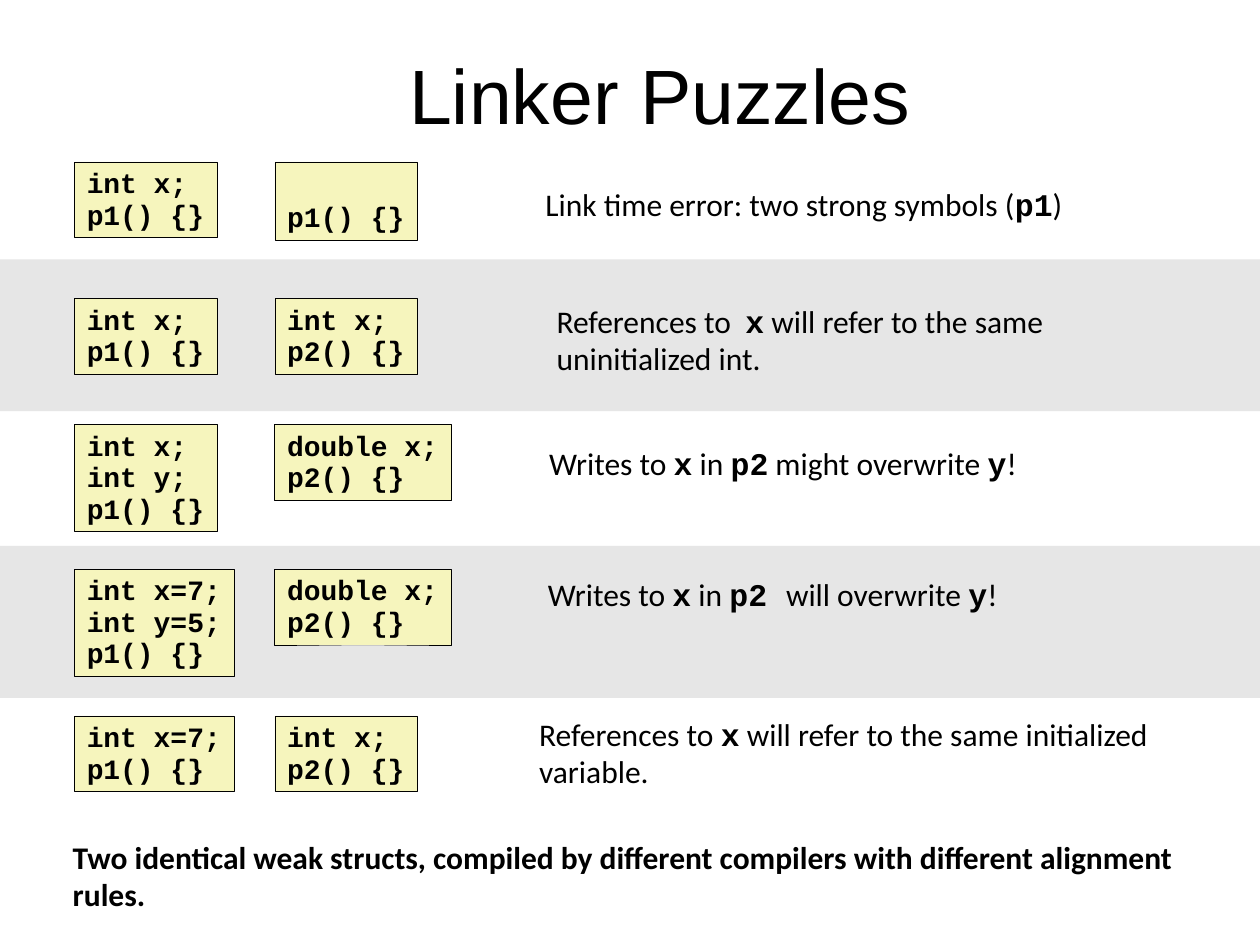
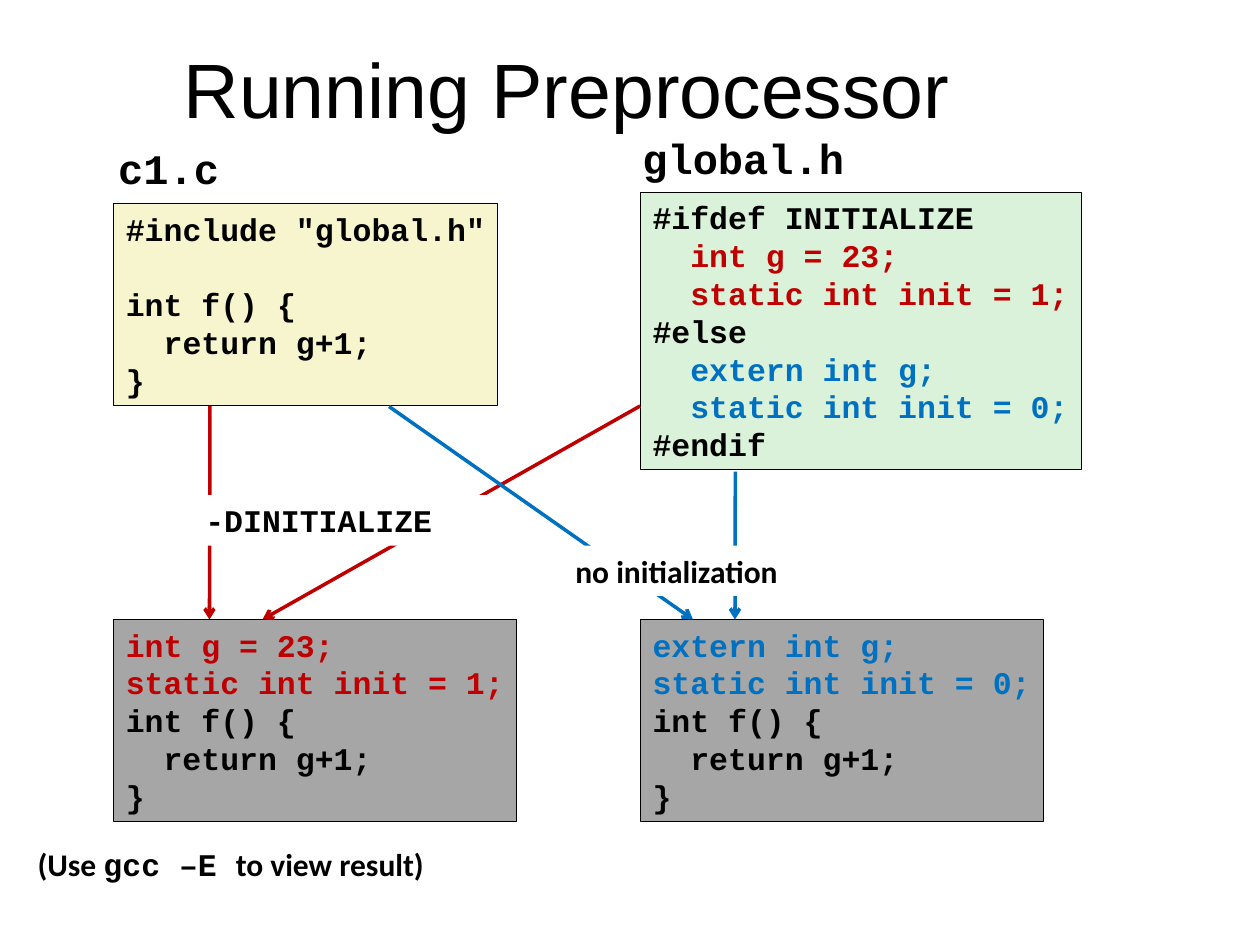
from dataclasses import dataclass

from lxml import etree
from pptx import Presentation
from pptx import util as u
from pptx.dml.color import RGBColor
from pptx.enum import shapes, text
from pptx.oxml import ns


@dataclass(frozen=True)
class Theme:
    black: str = "000000"
    white: str = "FFFFFF"
    band: str = "E6E6E6"
    module: str = "F6F5BD"
    source: str = "F7F5CD"
    header: str = "DBF2DA"
    result: str = "A6A6A6"
    red: str = "C00000"
    blue: str = "0070C0"
    title_font: str = "Arial"
    prose_font: str = "Calibri"
    code_font: str = "Courier New"
    title_size: float = 44
    label_size: float = 24
    body_size: float = 18
    module_size: float = 16


theme = Theme()
LEFT, CENTER = text.PP_ALIGN.LEFT, text.PP_ALIGN.CENTER
TOP, MIDDLE, BOTTOM = text.MSO_ANCHOR.TOP, text.MSO_ANCHOR.MIDDLE, text.MSO_ANCHOR.BOTTOM


def write(page, content, left, top, width=None, height=None, *, font=theme.prose_font,
          size=theme.body_size, bold=False, fill=None, outline=False, align=LEFT, anchor=TOP,
          wrap=False, spacing=1.0, accents={}, gaps={}):
    """Add text; `backticks` mark code, and a code box is sized from its lines."""
    lines = content.split("\n")
    width = width or 14.4 + 0.6 * size * max(map(len, lines))
    height = height or 7.2 + 1.2 * size * spacing * (len(lines) + len(gaps))
    frame = [u.Pt(length) for length in (left, top, width, height)]
    if fill:
        box = page.shapes.add_shape(shapes.MSO_SHAPE.RECTANGLE, *frame)
        box.shadow.inherit = False
        box.fill.solid()
        box.fill.fore_color.rgb = RGBColor.from_string(fill)
        if outline:
            box.line.color.rgb = RGBColor.from_string(theme.black)
            box.line.width = u.Pt(0.25)
        else:
            box.line.fill.background()
    else:
        box = page.shapes.add_textbox(*frame)
    body = box.text_frame
    body.word_wrap = wrap
    body.vertical_anchor = anchor
    for index, line in enumerate(lines):
        para = body.paragraphs[0] if index == 0 else body.add_paragraph()
        para.alignment = align
        para.line_spacing = spacing
        if index in gaps:
            para.space_before = u.Pt(gaps[index])
        for order, piece in enumerate(line.split("`")):
            if piece:
                is_code = order % 2 == 1
                span = para.add_run()
                span.text = piece
                span.font.name = theme.code_font if is_code else font
                span.font.size = u.Pt(size)
                span.font.bold = bold or is_code
                span.font.color.rgb = RGBColor.from_string(accents.get(index, theme.black))
    return box


title_style = dict(font=theme.title_font, size=theme.title_size, align=CENTER, anchor=MIDDLE,
                   wrap=True)
code_style = dict(font=theme.code_font, bold=True)

deck = Presentation()
deck.slide_width, deck.slide_height = u.Pt(720), u.Pt(540)
blank = deck.slide_layouts[6]

page = deck.slides.add_slide(blank)
for top in (148.2, 312):
    write(page, "", 0, top, 720, 86.8, fill=theme.band)
write(page, "Linker Puzzles", 34, 22.5, 686, 62, **title_style)

module_style = dict(code_style, size=theme.module_size, spacing=0.94, fill=theme.module,
                    outline=True, anchor=BOTTOM)
modules = [
    (92.5, "int x;\np1() {}", "       \np1() {}"),
    (170.5, "int x;\np1() {}", "int x;\np2() {}"),
    (242.5, "int x;\nint y;\np1() {}", "double x;\np2() {}"),
    (325.2, "int x=7;\nint y=5;\np1() {}", "double x;\np2() {}"),
    (409, "int x=7;\np1() {}", "int x;\np2() {}"),
]
for top, first, second in modules:
    write(page, first, 42.5, top, **module_style)
    if second.strip().count("\n"):
        write(page, second, 157, top, **module_style)
    else:
        write(page, second.strip(), 157, top, height=44.6, **module_style)

answers = [
    ("Link time error: two strong symbols (`p1`)", 304.6, 103, 311),
    ("References to  `x` will refer to the same\nuninitialized int.", 311, 170, 299),
    ("Writes to `x` in `p2` might overwrite `y`!", 306.7, 251.5, 283),
    ("Writes to `x` in `p2 `will overwrite `y`!", 306, 326, 272),
    ("References to `x` will refer to the same initialized variable.", 301, 406, 404.6),
]
for answer, left, top, width in answers:
    write(page, answer, left, top, width, 50, spacing=0.98, wrap=width > 400)
write(page, "Two identical weak structs, compiled by different compilers with different "
      "alignment rules.", 34.5, 476.6, 659.5, 50, bold=True, spacing=0.98, wrap=True)

page = deck.slides.add_slide(blank)
write(page, "Running Preprocessor", 25, 20, 598, 60, **title_style)
function = "int f() {\n  return g+1;\n}"
left_column, right_column, result_top = 64.8, 365.8, 354
write(page, '#include "global.h"\n' + function, left_column, 116.3, fill=theme.source,
      outline=True, gaps={1: 21.6}, **code_style)
for name, left, top in (("c1.c", 60.5, 78), ("global.h", 360, 72)):
    write(page, name, left, top, **dict(code_style, size=theme.label_size))
write(page, "#ifdef INITIALIZE\n  int g = 23;\n  static int init = 1;\n#else\n"
      "  extern int g;\n  static int init = 0;\n#endif", right_column, 109.8, fill=theme.header,
      outline=True, accents={1: theme.red, 2: theme.red, 4: theme.blue, 5: theme.blue},
      **code_style)
results = [
    (left_column, "int g = 23;\nstatic int init = 1;\n", theme.red),
    (right_column, "extern int g;\nstatic int init = 0;\n", theme.blue),
]
for left, declarations, colour in results:
    write(page, declarations + function, left, result_top, fill=theme.result, outline=True,
          accents={0: colour, 1: colour}, **code_style)

arrows = [
    (120, 232, 119.7, theme.red),
    (365.8, 232, 150, theme.red),
    (222.3, 232.3, 396, theme.blue),
    (420.2, 269.5, 420, theme.blue),
]
for start_x, start_y, end_x, colour in arrows:
    arrow = page.shapes.add_connector(shapes.MSO_CONNECTOR.STRAIGHT, u.Pt(start_x),
                                      u.Pt(start_y), u.Pt(end_x), u.Pt(result_top))
    arrow.line.color.rgb = RGBColor.from_string(colour)
    arrow.line.width = u.Pt(2)
    etree.SubElement(arrow.line._get_or_add_ln(), ns.qn("a:tailEnd"), type="arrow")
    etree.SubElement(arrow._element.spPr, ns.qn("a:effectLst"))

flag_style = dict(width=198.7, height=28.8, fill=theme.white, bold=True, align=CENTER, wrap=True)
write(page, "no initialization", 287.3, 311.8, **flag_style)
write(page, "-DINITIALIZE", 82.8, 283, font=theme.code_font, **flag_style)
write(page, "(Use `gcc –E `to view result)", 14.4, 479.5, 695, 28.8, bold=True, wrap=True)

deck.save("out.pptx")
